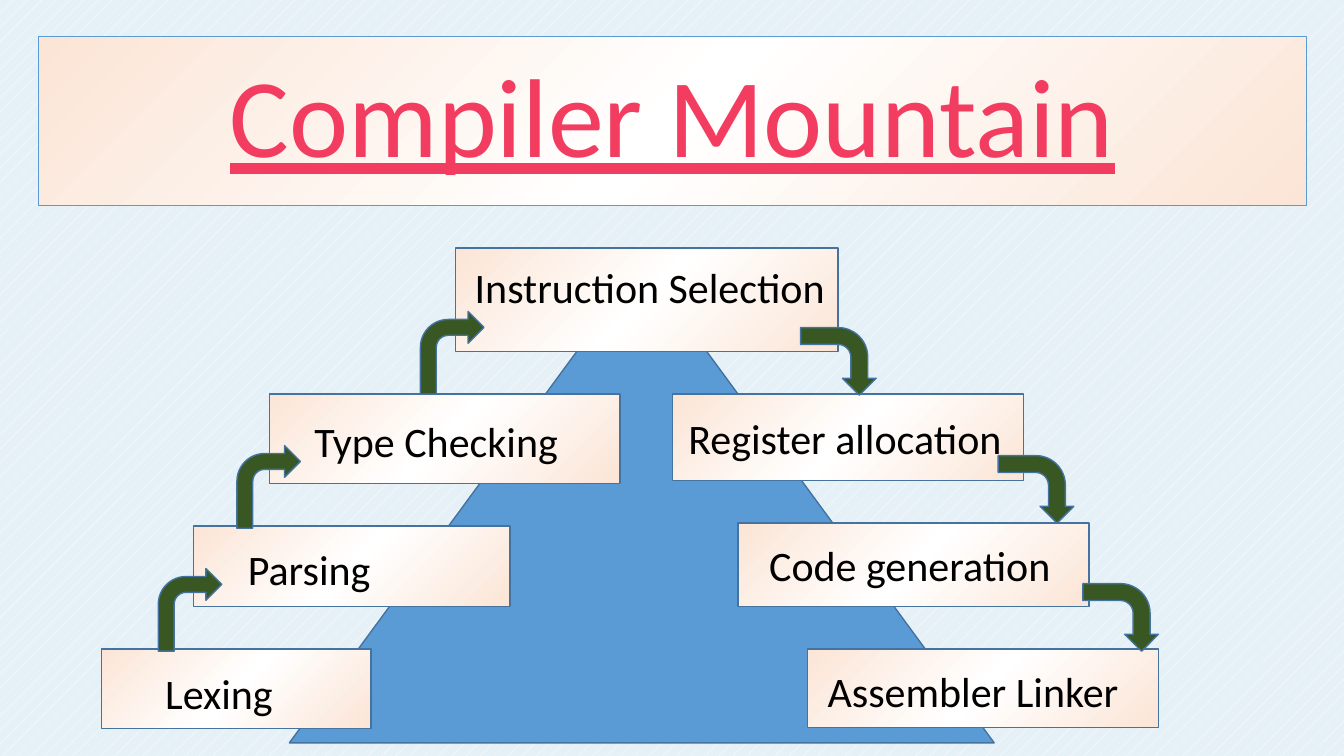
from dataclasses import dataclass

from pptx import Presentation
from pptx.dml.color import RGBColor
from pptx.enum.dml import MSO_PATTERN
from pptx.enum.shapes import MSO_SHAPE
from pptx.enum.text import MSO_ANCHOR, MSO_AUTO_SIZE, PP_ALIGN
from pptx.oxml import parse_xml
from pptx.oxml.ns import nsdecls
from pptx.util import Inches, Pt


@dataclass(frozen=True)
class Theme:
    """Colours and type sizes of the slide."""

    font: str = "Calibri"
    title_size: int = 80
    label_size: int = 30
    title: str = "F23C60"
    label: str = "000000"
    mountain: str = "5B9BD5"
    outline: str = "43739E"
    arrow: str = "385723"
    box_edge: str = "FBE5D6"
    box_middle: str = "FFFFFF"
    background: str = "E6F1F7"
    hatch: str = "FFFFFF"


class MountainSlide:
    """Draws the elements of the mountain on one slide."""

    def __init__(self, slide, theme):
        """Keep the slide and its theme."""
        self.slide = slide
        self.theme = theme

    def background(self):
        """Fill the background with a light hatch."""
        fill = self.slide.background.fill
        fill.patterned()
        fill.pattern = MSO_PATTERN.PERCENT_5
        fill.fore_color.rgb = RGBColor.from_string(self.theme.hatch)
        fill.back_color.rgb = RGBColor.from_string(self.theme.background)

    def shape(self, kind, position, color=None, outline=None, line_width=1):
        """Add an outlined preset shape, filled if a colour is given."""
        shape = self.slide.shapes.add_shape(kind, *map(Inches, position))
        shape.shadow.inherit = False
        if color:
            shape.fill.solid()
            shape.fill.fore_color.rgb = RGBColor.from_string(color)
        shape.line.color.rgb = RGBColor.from_string(outline or self.theme.outline)
        shape.line.width = Pt(line_width)
        return shape

    def box(self, position, outline=None, line_width=1):
        """Add a rectangle with a radial gradient from its lower right corner."""
        shape = self.shape(MSO_SHAPE.RECTANGLE, position, None, outline, line_width)
        edge, middle = self.theme.box_edge, self.theme.box_middle
        stops = "".join(
            f'<a:gs pos="{percent * 1000}"><a:srgbClr val="{color}"/></a:gs>'
            for percent, color in ((0, edge), (50, middle), (100, edge))
        )
        gradient = parse_xml(
            f'<a:gradFill {nsdecls("a")} rotWithShape="1"><a:gsLst>{stops}</a:gsLst>'
            '<a:path path="circle"><a:fillToRect l="100000" t="100000"/></a:path>'
            '<a:tileRect r="-100000" b="-100000"/></a:gradFill>'
        )
        shape._element.spPr.insert(2, gradient)
        return shape

    def style(self, paragraph, text, size, color):
        """Write a paragraph in the theme font."""
        paragraph.text = text
        paragraph.font.name = self.theme.font
        paragraph.font.size = Pt(size)
        paragraph.font.color.rgb = RGBColor.from_string(color)

    def title(self, text, position):
        """Add the underlined title in its banner."""
        frame = self.box(position, self.theme.mountain, 0.75).text_frame
        frame.word_wrap = True
        frame.vertical_anchor = MSO_ANCHOR.MIDDLE
        paragraph = frame.paragraphs[0]
        self.style(paragraph, text, self.theme.title_size, self.theme.title)
        paragraph.font.underline = True
        paragraph.alignment = PP_ALIGN.CENTER
        paragraph.line_spacing = 0.9

    def arrow(self, position, rotation=0):
        """Add a bent arrow."""
        shape = self.shape(MSO_SHAPE.BENT_ARROW, position, self.theme.arrow)
        shape.rotation = rotation

    def label(self, text, position):
        """Add the name of a stage."""
        frame = self.slide.shapes.add_textbox(*map(Inches, position)).text_frame
        frame.word_wrap = True
        frame.auto_size = MSO_AUTO_SIZE.SHAPE_TO_FIT_TEXT
        self.style(frame.paragraphs[0], text, self.theme.label_size, self.theme.label)


STAGES = [
    ("Lexing", (1.01, 6.44, 2.67, 0.79), (1.54, 6.57, 2.44)),
    ("Parsing", (1.92, 5.22, 3.14, 0.8), (2.36, 5.34, 2.44)),
    ("Type Checking", (2.67, 3.91, 3.48, 0.89), (3.02, 4.07, 3.39)),
    ("Instruction Selection", (4.52, 2.46, 3.79, 1.03), (4.61, 2.55, 4.03)),
    ("Register allocation", (6.67, 3.91, 3.48, 0.86), (6.73, 4.04, 3.6)),
    ("Code generation", (7.32, 5.19, 3.48, 0.83), (7.53, 5.3, 3.35)),
    ("Assembler Linker", (8.01, 6.44, 3.48, 0.78), (8.11, 6.55, 3.38)),
]
LABEL_HEIGHT = 0.61
CLIMBS = [(1.57, 5.64), (2.35, 4.42), (4.17, 3.09)]
DESCENTS = [(7.98, 3.21), (9.94, 4.48), (10.78, 5.75)]


def main():
    """Build the slide and save it."""
    presentation = Presentation()
    presentation.slide_width = Inches(13.33)
    presentation.slide_height = Inches(7.5)
    theme = Theme()
    slide = presentation.slides.add_slide(presentation.slide_layouts[6])
    mountain = MountainSlide(slide, theme)

    mountain.background()
    mountain.shape(MSO_SHAPE.ISOSCELES_TRIANGLE, (2.87, 2.61, 6.99, 4.76), theme.mountain)
    mountain.title("Compiler Mountain", (0.38, 0.36, 12.58, 1.68))
    for _, box, _ in STAGES:
        mountain.box(box)
    for corner in CLIMBS:
        mountain.arrow((*corner, 0.63, 0.82))
    for corner in DESCENTS:
        mountain.arrow((*corner, 0.67, 0.75), 90)
    for name, _, place in STAGES:
        mountain.label(name, (*place, LABEL_HEIGHT))

    presentation.save("out.pptx")


if __name__ == "__main__":
    main()
